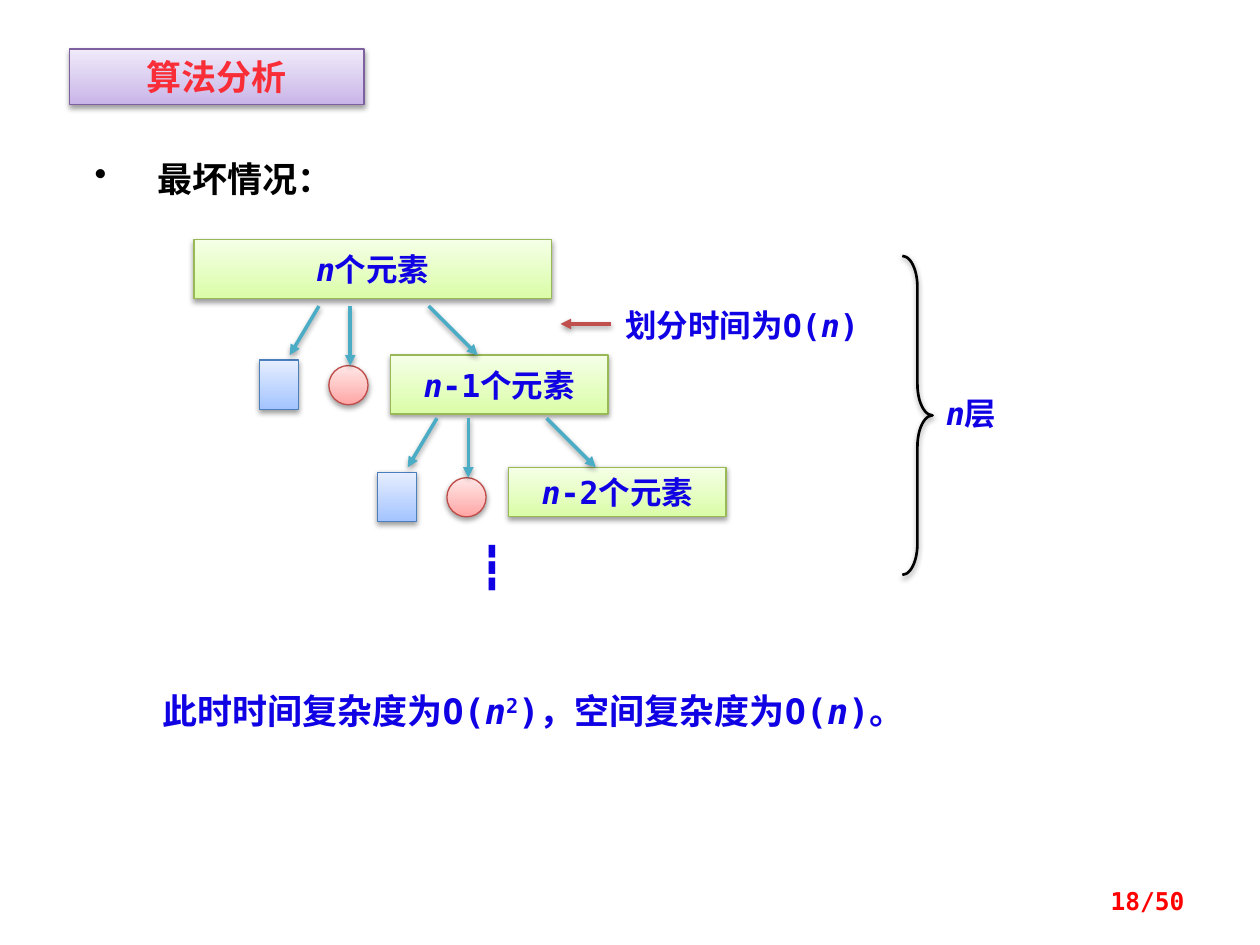
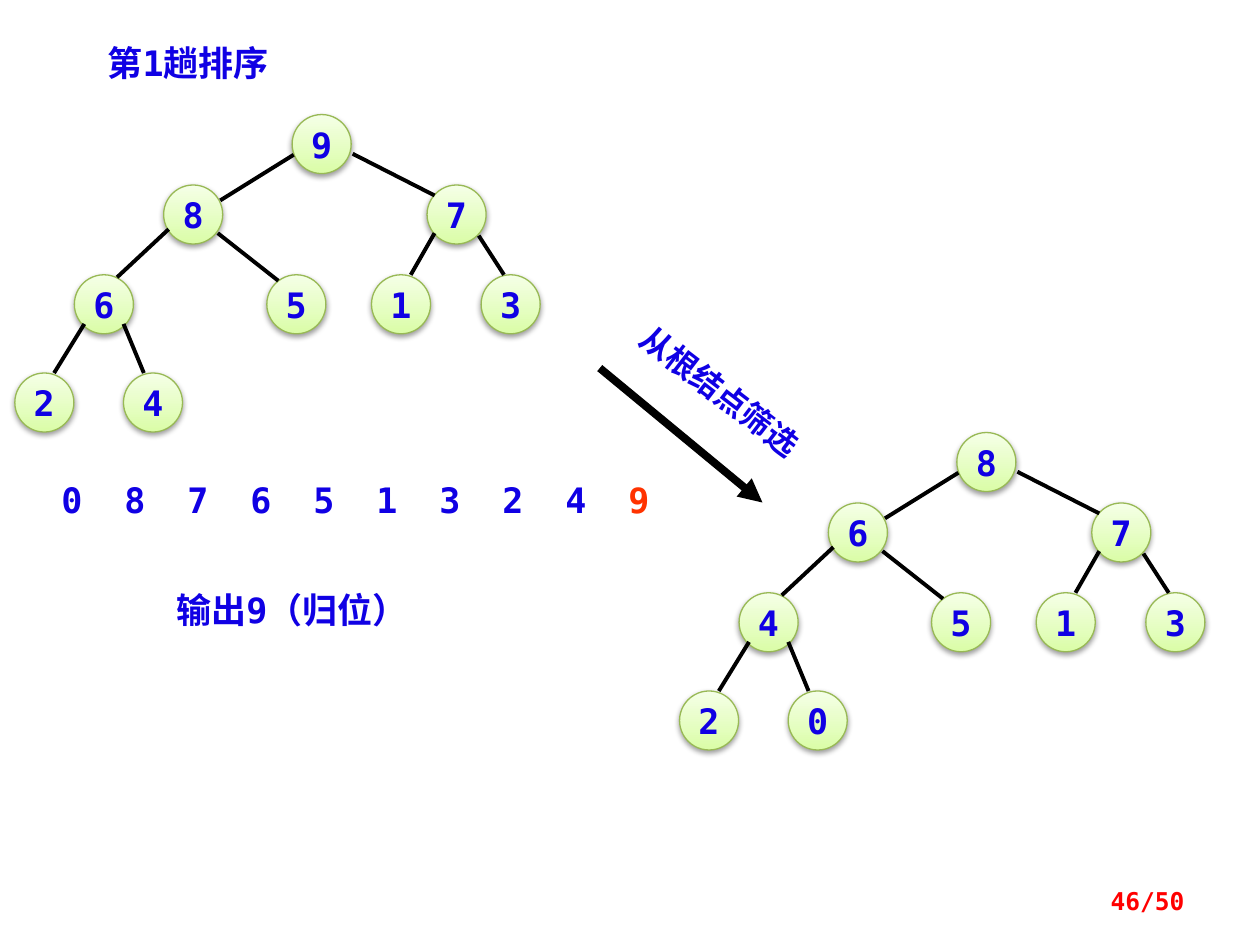
from lxml import etree
from pptx import Presentation
from pptx.dml.color import RGBColor
from pptx.enum.shapes import MSO_CONNECTOR, MSO_SHAPE
from pptx.enum.text import MSO_ANCHOR, PP_ALIGN
from pptx.oxml.ns import qn
from pptx.util import Cm, Pt

LEFT, CENTER, RIGHT = PP_ALIGN.LEFT, PP_ALIGN.CENTER, PP_ALIGN.RIGHT
TOP, MIDDLE = MSO_ANCHOR.TOP, MSO_ANCHOR.MIDDLE
RECT, OVAL, BRACE = MSO_SHAPE.RECTANGLE, MSO_SHAPE.OVAL, MSO_SHAPE.RIGHT_BRACE
STRAIGHT = MSO_CONNECTOR.STRAIGHT

MONO, CJK = "DejaVu Sans Mono", "Noto Sans CJK SC"
BLACK = RGBColor(0x00, 0x00, 0x00)
INK = RGBColor(0x10, 0x00, 0xE4)
TITLE_RED = RGBColor(0xF9, 0x2D, 0x37)
PAGE_RED = RGBColor(0xFF, 0x00, 0x00)
OUTPUT_RED = RGBColor(0xFF, 0x33, 0x00)
TEAL = RGBColor(0x4B, 0xAC, 0xC6)
BRICK = RGBColor(0xC0, 0x50, 0x4D)

# Each palette: gradient bottom, gradient top, outline
GREEN = (RGBColor(0xDA, 0xFD, 0xA7), RGBColor(0xF5, 0xFF, 0xE7), RGBColor(0x98, 0xB9, 0x55))
PINK = (RGBColor(0xFF, 0xA6, 0xA5), RGBColor(0xFF, 0xE7, 0xE7), RGBColor(0xBF, 0x4C, 0x48))
BLUE = (RGBColor(0xA4, 0xC4, 0xFF), RGBColor(0xE6, 0xEE, 0xFF), RGBColor(0x4B, 0x7E, 0xBC))
PURPLE = (RGBColor(0xC9, 0xB5, 0xE8), RGBColor(0xF0, 0xEA, 0xF9), RGBColor(0x7D, 0x60, 0xA0))


def write(holder, *parts, size=20, color=INK, font=MONO, align=CENTER, anchor=TOP,
          wrap=True, bullet=None, tabs=()):
    """Write parts, each a string or a (string, format) pair, as one paragraph."""
    frame = holder.text_frame
    frame.word_wrap = wrap
    frame.vertical_anchor = anchor
    paragraph = frame.paragraphs[0]
    paragraph.alignment = align
    pPr = paragraph._p.get_or_add_pPr()
    if bullet:
        pPr.set("marL", str(Cm(1.27)))
        pPr.set("indent", str(-Cm(1.27)))
        etree.SubElement(pPr, qn("a:buChar"), char=bullet)
    if tabs:
        stops = etree.SubElement(pPr, qn("a:tabLst"))
        for stop in tabs:
            etree.SubElement(stops, qn("a:tab"), pos=str(Cm(stop)), algn="l")
    for part in parts:
        text, look = (part, {}) if isinstance(part, str) else part
        run = paragraph.add_run()
        run.text = text
        run.font.size = Pt(size)
        run.font.bold = True
        run.font.italic = look.get("italic", False)
        run.font.color.rgb = look.get("color", color)
        run.font.name = font
        rPr = run._r.get_or_add_rPr()
        rPr.set("lang", "zh-CN")
        if look.get("superscript"):
            rPr.set("baseline", "30000")
        etree.SubElement(rPr, qn("a:ea"), typeface=font)


def finish(item, color, width, palette=None, shadow=True, arrow=False):
    """Give a shape or connector its outline, gradient, arrowhead and shadow."""
    item.line.color.rgb = color
    item.line.width = Pt(width)
    if palette:
        item.fill.gradient()
        item.fill.gradient_angle = 90
        for stop, tone in zip(item.fill.gradient_stops, palette):
            stop.color.rgb = tone
    spPr = item._element.spPr
    if arrow:
        etree.SubElement(spPr.find(qn("a:ln")), qn("a:tailEnd"), type="triangle")
    effects = etree.SubElement(spPr, qn("a:effectLst"))
    if shadow:
        cast = etree.SubElement(effects, qn("a:outerShdw"), blurRad="40000", dist="20000",
                                dir="5400000", rotWithShape="0")
        tone = etree.SubElement(cast, qn("a:srgbClr"), val="000000")
        etree.SubElement(tone, qn("a:alpha"), val="38000")


deck = Presentation()
deck.slide_width, deck.slide_height = Cm(25.4), Cm(19.05)
analysis, heap_sort = [deck.slides.add_slide(deck.slide_layouts[6]) for _ in range(2)]
N = ("n", {"italic": True})

# Page numbers
for slide, number in ((analysis, 18), (heap_sort, 46)):
    page = slide.shapes.add_textbox(Cm(18.21), Cm(17.65), Cm(5.92), Cm(1.02))
    write(page, f"{number}/50", size=14, color=PAGE_RED, align=RIGHT, anchor=MIDDLE)

# Slide 1: title band and heading
title = analysis.shapes.add_shape(RECT, Cm(1.4), Cm(0.99), Cm(5.94), Cm(1.12))
finish(title, PURPLE[2], 0.75, PURPLE)
write(title, "算法分析", color=TITLE_RED)

heading = analysis.shapes.add_textbox(Cm(1.4), Cm(2.97), Cm(6.93), Cm(1.27))
heading.text_frame.margin_left = Cm(0.51)
heading.text_frame.margin_top = Cm(0.2)
write(heading, "最坏情况：", color=BLACK, align=LEFT, bullet="•")

# Recursion: each level leaves an empty part, a pivot and the rest
LEVEL_DX, LEVEL_DY = 2.38, 2.26
parts = [(RECT, 3.91, 4.83, 7.21, 1.19, GREEN, "个元素")]
splits = []
for level, rest_height in enumerate((1.19, 0.99)):
    dx, dy = level * LEVEL_DX, level * LEVEL_DY
    parts += [
        (RECT, 5.23 + dx, 7.26 + dy, 0.79, 0.99, BLUE, None),
        (OVAL, 6.63 + dx, 7.37 + dy, 0.79, 0.79, PINK, None),
        (RECT, 7.87 + dx, 7.16 + dy, 4.39, rest_height, GREEN, f"-{level + 1}个元素"),
    ]
    for x1, x2, y2 in ((6.43, 5.84, 7.16), (7.06, 7.06, 7.37), (8.64, 9.63, 7.16)):
        splits.append((x1 + dx, 6.17 + dy, x2 + dx, y2 + dy, TEAL))
splits.append((12.32, 6.53, 11.3, 6.53, BRICK))

for kind, x, y, w, h, palette, count in parts:
    part = analysis.shapes.add_shape(kind, Cm(x), Cm(y), Cm(w), Cm(h))
    finish(part, palette[2], 0.75, palette)
    if count:
        write(part, N, count, size=18, anchor=MIDDLE, wrap=False)

for x1, y1, x2, y2, color in splits:
    split = analysis.shapes.add_connector(STRAIGHT, Cm(x1), Cm(y1), Cm(x2), Cm(y2))
    finish(split, color, 2, arrow=True)

# Brace over all levels
depth = analysis.shapes.add_shape(BRACE, Cm(18.19), Cm(5.16), Cm(0.61), Cm(6.43))
depth.adjustments[0], depth.adjustments[1] = 1.03, 0.5
depth.fill.background()
finish(depth, BLACK, 1.5)

# Slide 2: heap before and after sifting, nodes in level order
NODE = 1.19
NODES_AT = ((5.89, 2.31), (3.3, 3.73), (8.61, 3.73), (1.5, 5.54), (5.38, 5.54),
            (7.49, 5.54), (9.7, 5.54), (0.3, 7.52), (2.49, 7.52))
EDGES = ((5.92, 3.12, 4.44, 4.04), (7.11, 3.1, 8.76, 3.94),
         (3.4, 4.62, 2.36, 5.59), (4.39, 4.7, 5.61, 5.66),
         (8.76, 4.7, 8.28, 5.54), (9.65, 4.75, 10.16, 5.54),
         (1.7, 6.53, 1.09, 7.52), (2.49, 6.53, 2.9, 7.52))
for keys, dx, dy in (("987651324", 0, 0), ("867451320", 13.4, 6.41)):
    for key, (x, y) in zip(keys, NODES_AT):
        node = heap_sort.shapes.add_shape(OVAL, Cm(x + dx), Cm(y + dy), Cm(NODE), Cm(NODE))
        finish(node, GREEN[2], 0.75, GREEN)
        write(node, key, anchor=MIDDLE, wrap=False)
    for x1, y1, x2, y2 in EDGES:
        edge = heap_sort.shapes.add_connector(
            STRAIGHT, Cm(x1 + dx), Cm(y1 + dy), Cm(x2 + dx), Cm(y2 + dy))
        finish(edge, BLACK, 2.25, shadow=False)

sift = heap_sort.shapes.add_connector(STRAIGHT, Cm(12.09), Cm(7.42), Cm(15.37), Cm(10.13))
finish(sift, BLACK, 4.5, shadow=False, arrow=True)

# Array after the swap, one tab stop per key
array = heap_sort.shapes.add_textbox(Cm(0.69), Cm(9.53), Cm(13), Cm(1.12))
array.text_frame.margin_left = Cm(0.55)
write(array, "\t".join("087651324") + "\t", ("9", {"color": OUTPUT_RED}),
      align=LEFT, tabs=[1.27 * i for i in range(1, 10)])

# Captions: slide, left, top, width, height, rotation, parts, format
captions = (
    (analysis, 8.03, 10.77, 3.78, 1.27, 0, ["┇"], {"size": 24}),
    (analysis, 18.82, 7.82, 1.78, 1.02, 0, [N, "层"], {"size": 18, "align": LEFT}),
    (analysis, 11.66, 6.05, 6.6, 1.02, 0, ["划分时间为O(", N, ")"], {"size": 18}),
    (analysis, 3.02, 13.77, 15.62, 1.12, 0,
     ["此时时间复杂度为O(", N, ("2", {"superscript": True}), ")，空间复杂度为O(", N, ")。"],
     {"align": LEFT}),
    (heap_sort, 1.09, 0.71, 5.41, 1.12, 0, ["第1趟排序"], {}),
    (heap_sort, 2.69, 11.73, 6.4, 1.12, 0, ["输出9（归位）"], {}),
    (heap_sort, 12.12, 7.37, 4.8, 1.02, 37.5, ["从根结点筛选"], {"size": 18, "font": CJK}),
)
for slide, x, y, w, h, turn, words, look in captions:
    caption = slide.shapes.add_textbox(Cm(x), Cm(y), Cm(w), Cm(h))
    caption.rotation = turn
    write(caption, *words, **look)

deck.save("out.pptx")
